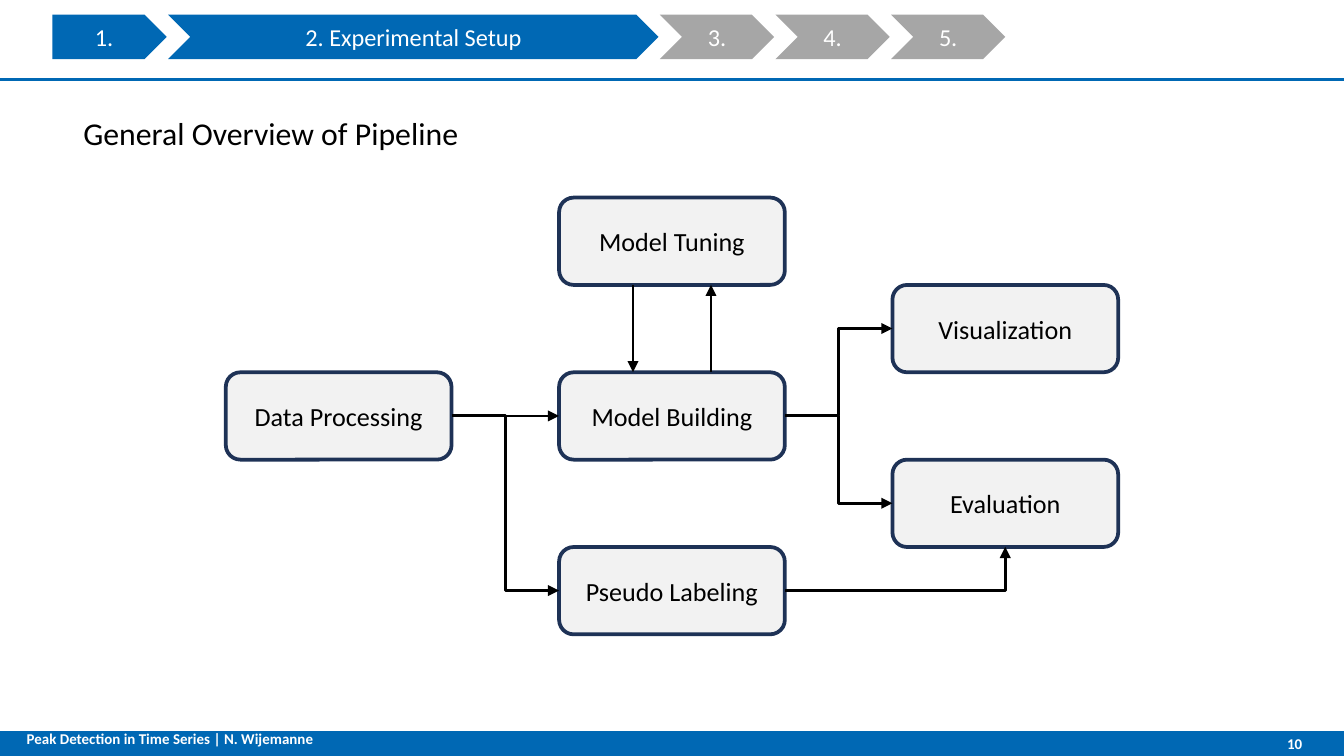
from lxml.etree import SubElement
from pptx import Presentation
from pptx.dml.color import RGBColor
from pptx.enum.shapes import MSO_CONNECTOR, MSO_SHAPE
from pptx.enum.text import MSO_ANCHOR, PP_ALIGN
from pptx.oxml.ns import qn
from pptx.util import Inches, Pt

BLUE, GREY, WHITE, BLACK = "0068B4", "A6A6A6", "FFFFFF", "000000"
BOX_FILL, BOX_LINE = "F2F2F2", "1E3256"
FONT = "Calibri"

TITLE = "General Overview of Pipeline"
FOOTER = "Peak Detection in Time Series | N. Wijemanne"
PAGE_NUMBER = "10"

# text, width, fill
AGENDA = [
    ("1.", 0.85, BLUE),
    ("2. Experimental Setup", 3.65, BLUE),
    ("3.", 0.85, GREY),
    ("4.", 0.85, GREY),
    ("5.", 0.85, GREY),
]
AGENDA_LEFT, AGENDA_TOP, AGENDA_HEIGHT, AGENDA_GAP = 0.39, 0.11, 0.33, 0.01

# step name: (column, row)
STEPS = {
    "Data Processing": (0, 2),
    "Model Building": (1, 2),
    "Model Tuning": (1, 0),
    "Visualization": (2, 1),
    "Evaluation": (2, 3),
    "Pseudo Labeling": (1, 4),
}
GRID_LEFT, GRID_TOP = 1.68, 1.47
BOX_WIDTH, BOX_HEIGHT = 1.68, 0.65
COLUMN_PITCH, ROW_PITCH = 2.48, 0.65

# Connection sites of a rectangle
LEFT, BOTTOM, RIGHT = 1, 2, 3
# from step, to step, arriving site, preset geometry
FLOWS = [
    ("Data Processing", "Model Building", LEFT, "line"),
    ("Model Building", "Visualization", LEFT, "bentConnector3"),
    ("Model Building", "Evaluation", LEFT, "bentConnector3"),
    ("Data Processing", "Pseudo Labeling", LEFT, "bentConnector3"),
    ("Pseudo Labeling", "Evaluation", BOTTOM, "bentConnector2"),
]
TUNING_BOTTOM = GRID_TOP + BOX_HEIGHT
BUILDING_TOP = GRID_TOP + 2 * ROW_PITCH
# x, start y, end y
TUNING_LOOP = [(4.71, TUNING_BOTTOM, BUILDING_TOP), (5.29, BUILDING_TOP, TUNING_BOTTOM)]


def color(hex_value):
    return RGBColor.from_string(hex_value)


def write(shape, text, size, font_color, align=PP_ALIGN.LEFT,
          anchor=MSO_ANCHOR.MIDDLE, bold=False, insets=(0.1, 0.05, 0.1, 0.05)):
    """Fill a shape with one formatted paragraph; insets are left, top, right, bottom."""
    frame = shape.text_frame
    frame.word_wrap = True
    frame.vertical_anchor = anchor
    for side, inset in zip(("left", "top", "right", "bottom"), insets):
        setattr(frame, f"margin_{side}", Inches(inset))
    paragraph = frame.paragraphs[0]
    paragraph.text = text
    paragraph.alignment = align
    font = paragraph.runs[0].font
    for name, value in {"name": FONT, "size": Pt(size), "bold": bold}.items():
        setattr(font, name, value)
    font.color.rgb = color(font_color)
    return paragraph


def add_shape(shapes, preset, left, top, width, height, fill, line=None):
    shape = shapes.add_shape(preset, *map(Inches, (left, top, width, height)))
    shape.shadow.inherit = False
    shape.fill.solid()
    shape.fill.fore_color.rgb = color(fill)
    if line:
        shape.line.color.rgb = color(line)
        shape.line.width = Pt(2)
    else:
        shape.line.fill.background()
    return shape


def style_line(connector, line_color, arrow=False):
    connector.line.color.rgb = color(line_color)
    connector.line.width = Pt(1.5)
    properties = connector._element.spPr
    if arrow:
        SubElement(properties.find(qn("a:ln")), qn("a:tailEnd"), type="triangle")
    SubElement(properties, qn("a:effectLst"))


def add_line(shapes, start, end, line_color, arrow=False):
    connector = shapes.add_connector(
        MSO_CONNECTOR.STRAIGHT, *map(Inches, (*start, *end)))
    style_line(connector, line_color, arrow)


def add_flow(shapes, source, target, site, geometry):
    kind = MSO_CONNECTOR.STRAIGHT if geometry == "line" else MSO_CONNECTOR.ELBOW
    connector = shapes.add_connector(kind, 0, 0, 0, 0)
    connector.begin_connect(source, RIGHT)
    connector.end_connect(target, site)
    connector._element.spPr.find(qn("a:prstGeom")).set("prst", geometry)
    style_line(connector, BLACK, arrow=True)


def add_frame(shapes):
    add_shape(shapes, MSO_SHAPE.RECTANGLE, 0, 5.44, 10, 0.19, BLUE)
    add_line(shapes, (10, 0.59), (0, 0.59), BLUE)
    footer = shapes.add_textbox(*map(Inches, (0.1, 5.36, 4.34, 0.34)))
    write(footer, FOOTER, 8, WHITE, anchor=MSO_ANCHOR.TOP, bold=True, insets=(0.1,) * 4)
    number = shapes.add_textbox(*map(Inches, (8.75, 5.44, 0.94, 0.19)))
    write(number, PAGE_NUMBER, 8, WHITE, PP_ALIGN.RIGHT, bold=True,
          insets=(0.1, 0.05, 0, 0.05))


def add_title(title):
    title.left, title.top, title.width, title.height = map(
        Inches, (0.39, 0.82, 9.21, 3.98))
    paragraph = write(title, TITLE, 17, BLACK, anchor=MSO_ANCHOR.TOP,
                      insets=(0.23, 0.05, 0.1, 0.05))
    paragraph.line_spacing = 0.95


def add_agenda(shapes):
    group = shapes.add_group_shape()
    left = AGENDA_LEFT
    for index, (text, width, fill) in enumerate(AGENDA):
        preset = MSO_SHAPE.CHEVRON if index else MSO_SHAPE.PENTAGON
        step = add_shape(group.shapes, preset, left, AGENDA_TOP, width, AGENDA_HEIGHT, fill)
        write(step, text, 13, WHITE, PP_ALIGN.CENTER)
        left += width + AGENDA_GAP


def add_pipeline(shapes):
    boxes = {}
    for name, (column, row) in STEPS.items():
        boxes[name] = add_shape(
            shapes, MSO_SHAPE.ROUNDED_RECTANGLE,
            GRID_LEFT + column * COLUMN_PITCH, GRID_TOP + row * ROW_PITCH,
            BOX_WIDTH, BOX_HEIGHT, BOX_FILL, BOX_LINE)
        write(boxes[name], name, 14, BLACK, PP_ALIGN.CENTER)
    for source, target, site, geometry in FLOWS:
        add_flow(shapes, boxes[source], boxes[target], site, geometry)
    for x, start, end in TUNING_LOOP:
        add_line(shapes, (x, start), (x, end), BLACK, arrow=True)


def main():
    presentation = Presentation()
    presentation.slide_width = Inches(10)
    presentation.slide_height = Inches(10 * 9 / 16)
    slide = presentation.slides.add_slide(presentation.slide_layouts[5])
    add_title(slide.shapes.title)
    add_frame(slide.shapes)
    add_agenda(slide.shapes)
    add_pipeline(slide.shapes)
    presentation.save("out.pptx")


if __name__ == "__main__":
    main()
